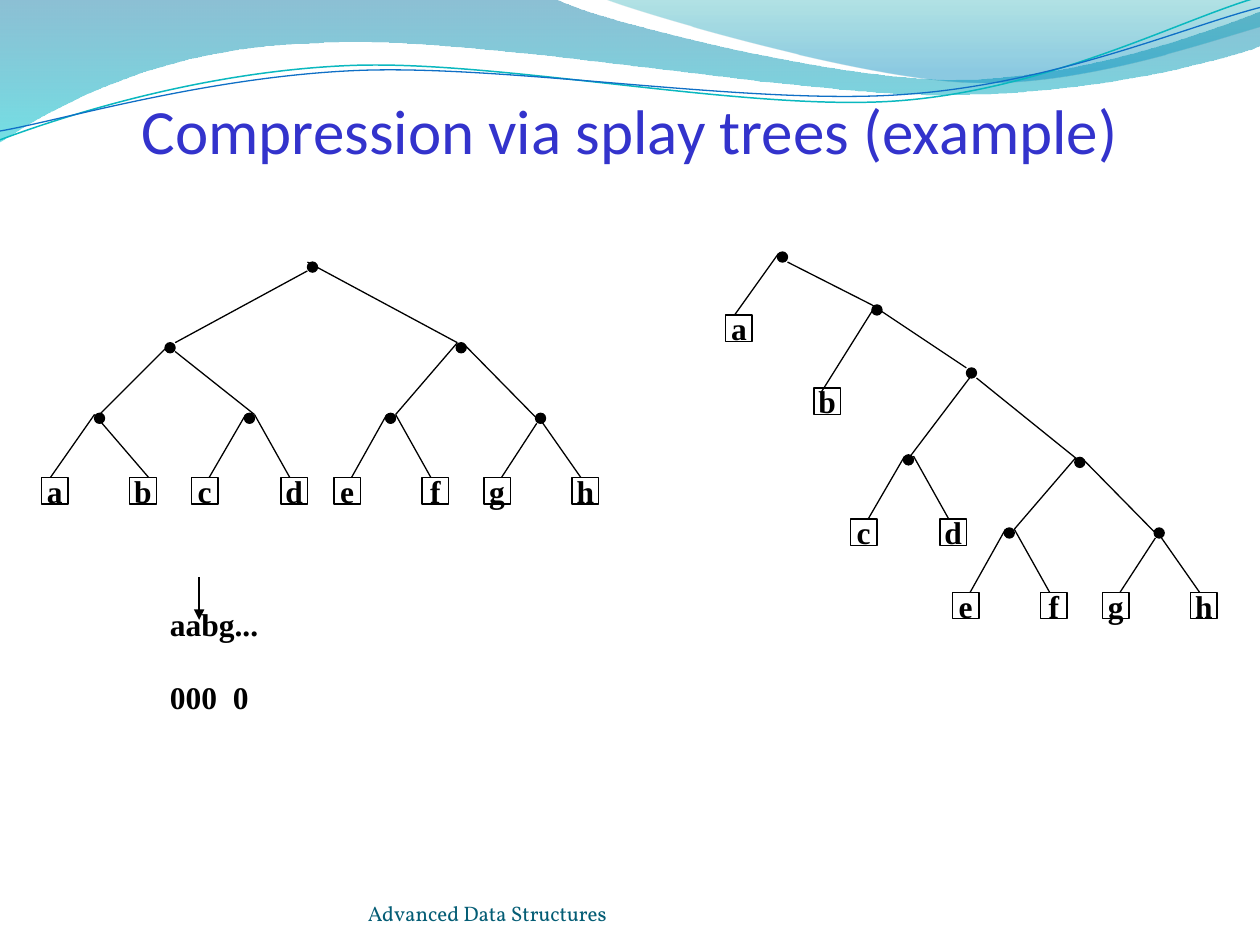
from dataclasses import dataclass
from math import cos, radians, sin

from lxml import etree
from pptx import Presentation
from pptx.dml.color import RGBColor
from pptx.enum.shapes import MSO_CONNECTOR, MSO_SHAPE
from pptx.enum.text import MSO_ANCHOR, PP_ALIGN
from pptx.oxml.ns import qn
from pptx.util import Inches, Pt

STRAIGHT = MSO_CONNECTOR.STRAIGHT
OVAL, RECTANGLE = MSO_SHAPE.OVAL, MSO_SHAPE.RECTANGLE
CENTER, LEFT = PP_ALIGN.CENTER, PP_ALIGN.LEFT
MIDDLE, BOTTOM, TOP = MSO_ANCHOR.MIDDLE, MSO_ANCHOR.BOTTOM, MSO_ANCHOR.TOP


@dataclass(frozen=True)
class Theme:
    ink: str = "000000"
    title: str = "3333CC"
    footer: str = "045D75"
    title_font: str = "Calibri"
    body_font: str = "Times New Roman"
    footer_font: str = "Vollkorn"
    title_size: float = 36
    body_size: float = 18
    footer_size: float = 12
    line: float = 0.75
    dot: float = 0.08
    leaf: float = 0.21


THEME = Theme()

# Waves: a start point, then line ends (2 numbers) or Bezier curves (6 numbers)
# Gradient stops: position, colour, opacity in percent
FILLED_WAVES = [
    ([(0, 0), (4.4, -0.01), (4.76, 0.17, 6.64, 0.63, 7.58, 0.63),
      (8.53, 0.63, 9.58, 0.26, 10, 0.09), (10.01, 0.36),
      (9.83, 0.44, 8.7, 0.76, 7.46, 0.75), (6.22, 0.75, 3.82, 0.28, 2.57, 0.34),
      (1.29, 0.36, 0.46, 0.83, -0.01, 1.13), (0, 0)],
     [(0, "0074A1", 45), (1, "00C6CF", 55)]),
    ([(4.79, -0.01), (5.09, 0.11, 6.82, 0.62, 7.69, 0.65),
      (8.56, 0.69, 9.61, 0.32, 10, 0.21), (10, 0), (4.79, -0.01)],
     [(0, "00A1A9", 30), (0.8, "008BBF", 45)]),
]
# Line waves: points, centre of rotation, colour, width
LINE_WAVES = [
    ([(0, 1.11), (0.48, 0.93, 1.58, 0.57, 2.77, 0.52),
      (3.95, 0.47, 5.93, 0.89, 7.13, 0.8), (8.33, 0.71, 9.38, 0.15, 9.98, -0.02)],
     (4.99, 0.58), "0AB8BF", 0.85),
    ([(0, 1.04), (0.47, 0.96, 1.64, 0.61, 2.83, 0.56),
      (4.03, 0.51, 5.97, 0.84, 7.17, 0.75), (8.36, 0.67, 9.41, 0.21, 10, 0.06)],
     (5, 0.59), "0F6FC6", 0.75),
]
WAVE_TILT = -2.7

# Tree parts: (dots, leaves, edges)
PART_AB = (
    [(0.75, 3.28)],
    [("a", 0.33, 3.79), ("b", 1.03, 3.79)],
    [(0.75, 3.29, 0.4, 3.79), (0.75, 3.29, 1.18, 3.79)])
PART_CD = (
    [(1.94, 3.28)],
    [("c", 1.52, 3.79), ("d", 2.23, 3.79)],
    [(1.95, 3.29, 1.66, 3.79), (2.02, 3.29, 2.3, 3.79)])
PART_EFGH = (
    [(3.62, 2.72), (3.06, 3.28), (4.25, 3.28)],
    [("e", 2.65, 3.79), ("f", 3.35, 3.79), ("g", 3.84, 3.79), ("h", 4.54, 3.79)],
    [(3.63, 2.72, 3.14, 3.29), (3.69, 2.74, 4.25, 3.31),
     (3.07, 3.29, 2.79, 3.79), (3.14, 3.29, 3.42, 3.79),
     (4.26, 3.36, 3.98, 3.79), (4.26, 3.29, 4.61, 3.79)])
BALANCED_TOP = (
    [(2.44, 2.08), (1.31, 2.72)],
    [],
    [(2.44, 2.15, 1.39, 2.72), (2.44, 2.08, 3.63, 2.72),
     (1.34, 2.74, 0.77, 3.31), (1.39, 2.79, 2.02, 3.29)])
SPLAYED_TOP = (
    [(6.17, 2), (6.92, 2.42), (7.67, 2.92)],
    [("a", 5.76, 2.5), ("b", 6.46, 3.08)],
    [(6.18, 2.01, 5.83, 2.5), (6.25, 2.08, 6.92, 2.42),
     (6.94, 2.44, 6.52, 3.11), (6.92, 2.42, 7.67, 2.92),
     (7.71, 2.98, 7.21, 3.64), (7.75, 3, 8.58, 3.67)])

# Splaying moves whole subtrees: (part, shift right, shift down)
BALANCED_TREE = [(BALANCED_TOP, 0, 0), (PART_AB, 0, 0), (PART_CD, 0, 0), (PART_EFGH, 0, 0)]
SPLAYED_TREE = [(SPLAYED_TOP, 0, 0), (PART_CD, 5.23, 0.33), (PART_EFGH, 4.91, 0.91)]


def color(value):
    return RGBColor.from_string(value)


def set_line(shape, value=THEME.ink, width=THEME.line):
    shape.line.color.rgb = color(value)
    shape.line.width = Pt(width)


def write(frame, text, size, font, value, bold=False, align=LEFT, anchor=TOP):
    frame.vertical_anchor = anchor
    paragraph = frame.paragraphs[0]
    paragraph.alignment = align
    run = paragraph.add_run()
    run.text = text
    run.font.size, run.font.name, run.font.bold = Pt(size), font, bold
    run.font.color.rgb = color(value)


def write_body(frame, text, **options):
    write(frame, text, THEME.body_size, THEME.body_font, THEME.ink, bold=True, **options)


def turn(point, center, degrees):
    angle, dx, dy = radians(degrees), point[0] - center[0], point[1] - center[1]
    return (center[0] + dx * cos(angle) - dy * sin(angle),
            center[1] + dx * sin(angle) + dy * cos(angle))


def add_wave(slide, segments, close, center=(0, 0), tilt=0):
    points = [turn(segment[i:i + 2], center, -tilt)
              for segment in segments for i in range(0, len(segment), 2)]
    points = [(Inches(x), Inches(y)) for x, y in points]
    builder = slide.shapes.build_freeform(*points[0])
    builder.add_line_segments(points[1:], close=close)
    shape = builder.convert_to_shape()
    shape.shadow.inherit = False
    shape.rotation = tilt
    # Join each three points of a curve into one Bezier segment
    lines = iter(list(shape._element.spPr.iter(qn("a:lnTo"))))
    for segment in segments[1:]:
        first = next(lines)
        if len(segment) == 6:
            first.tag = qn("a:cubicBezTo")
            for line in (next(lines), next(lines)):
                first.append(line[0])
                line.getparent().remove(line)
    return shape


def fill_gradient(shape, stops):
    shape.fill.gradient()
    shape.fill.gradient_angle = 270
    for stop, (position, value, _) in zip(shape.fill.gradient_stops, stops):
        stop.position = position
        stop.color.rgb = color(value)
    for element, (_, _, opacity) in zip(shape._element.spPr.iter(qn("a:srgbClr")), stops):
        etree.SubElement(element, qn("a:alpha"), val=str(opacity * 1000))


def add_waves(slide):
    for segments, stops in FILLED_WAVES:
        shape = add_wave(slide, segments, True)
        fill_gradient(shape, stops)
        shape.line.fill.background()
    for segments, center, value, width in LINE_WAVES:
        shape = add_wave(slide, segments, False, center, WAVE_TILT)
        shape.fill.background()
        set_line(shape, value, width)


def add_edge(shapes, x1, y1, x2, y2, arrow=False):
    connector = shapes.add_connector(STRAIGHT, *map(Inches, (x1, y1, x2, y2)))
    set_line(connector)
    if arrow:
        etree.SubElement(connector.line._get_or_add_ln(), qn("a:tailEnd"), type="triangle")
    etree.SubElement(connector._element.spPr, qn("a:effectLst"))


def add_node(shapes, kind, x, y, size):
    shape = shapes.add_shape(kind, Inches(x), Inches(y), Inches(size), Inches(size))
    shape.shadow.inherit = False
    set_line(shape)
    return shape


def add_tree(slide, parts):
    shapes = slide.shapes.add_group_shape().shapes
    for (dots, leaves, edges), right, down in parts:
        for x, y in dots:
            dot = add_node(shapes, OVAL, x + right, y + down, THEME.dot)
            dot.fill.solid()
            dot.fill.fore_color.rgb = color(THEME.ink)
        for letter, x, y in leaves:
            leaf = add_node(shapes, RECTANGLE, x + right, y + down, THEME.leaf)
            leaf.fill.background()
            leaf.text_frame.word_wrap = False
            write_body(leaf.text_frame, letter, align=CENTER, anchor=MIDDLE)
        for x1, y1, x2, y2 in edges:
            add_edge(shapes, x1 + right, y1 + down, x2 + right, y2 + down)


def add_text_box(slide, x, y, width, height):
    frame = slide.shapes.add_textbox(*map(Inches, (x, y, width, height))).text_frame
    frame.word_wrap = True
    return frame


def set_title(slide, text):
    title = slide.shapes.title
    title.left, title.top, title.width, title.height = map(Inches, (0.75, 0.08, 8.5, 1.25))
    frame = title.text_frame
    frame.margin_left = frame.margin_right = frame.margin_bottom = 0
    write(frame, text, THEME.title_size, THEME.title_font, THEME.title,
          align=CENTER, anchor=BOTTOM)
    # Bring the title in front of the waves
    slide.shapes._spTree.append(title._element)


def main():
    presentation = Presentation()
    presentation.slide_width, presentation.slide_height = Inches(10), Inches(7.5)
    slide = presentation.slides.add_slide(presentation.slide_layouts[5])
    add_waves(slide)
    set_title(slide, "Compression via splay trees (example)")

    # Trees before and after splaying
    add_tree(slide, BALANCED_TREE)
    add_tree(slide, SPLAYED_TREE)

    # Message, its code so far and the reading position
    for text, x, y, width in [("aabg...", 1.25, 4.75, 6.42), ("000", 1.25, 5.33, 6.17),
                              ("0", 1.75, 5.33, 0.58)]:
        write_body(add_text_box(slide, x, y, width, 0.5), text)
    add_edge(slide.shapes, 1.58, 4.58, 1.58, 4.92, arrow=True)

    # Footer
    footer = add_text_box(slide, 2.92, 6.95, 3.67, 0.4)
    footer.margin_left = footer.margin_right = footer.margin_top = footer.margin_bottom = 0
    write(footer, "Advanced Data Structures", THEME.footer_size, THEME.footer_font,
          THEME.footer, anchor=BOTTOM)
    presentation.save("out.pptx")


if __name__ == "__main__":
    main()
